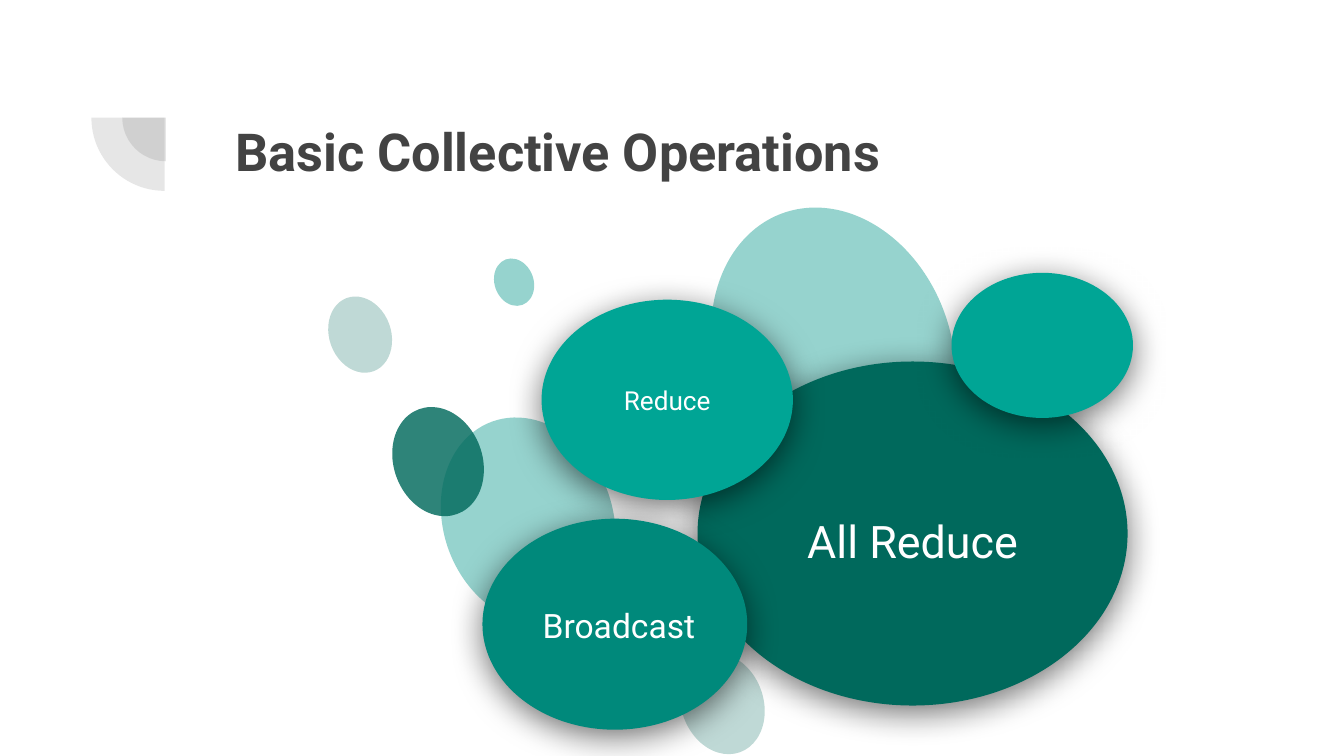
from dataclasses import dataclass

from lxml import etree
from pptx import Presentation
from pptx.dml.color import RGBColor
from pptx.enum.shapes import MSO_SHAPE
from pptx.enum.text import MSO_ANCHOR, MSO_AUTO_SIZE, PP_ALIGN
from pptx.oxml import parse_xml
from pptx.oxml.ns import nsdecls, qn
from pptx.util import Inches, Pt

OVAL, PIE = MSO_SHAPE.OVAL, MSO_SHAPE.PIE
TOP, MIDDLE = MSO_ANCHOR.TOP, MSO_ANCHOR.MIDDLE
LEFT, CENTER = PP_ALIGN.LEFT, PP_ALIGN.CENTER
NO_FIT = MSO_AUTO_SIZE.NONE

FONT = "Roboto"
WHITE = RGBColor(0xFF, 0xFF, 0xFF)
GRAY = RGBColor(0x42, 0x42, 0x42)
TITLE_GRAY = RGBColor(0x43, 0x43, 0x43)
DARK_TEAL = RGBColor(0x00, 0x69, 0x5C)
MID_TEAL = RGBColor(0x00, 0x89, 0x7B)
TEAL = RGBColor(0x00, 0x96, 0x88)
BRIGHT_TEAL = RGBColor(0x00, 0xA5, 0x95)

TILT = -20  # degrees, shared by all background bubbles


@dataclass
class Box:
    x: float
    y: float
    w: float
    h: float

    def lengths(self):
        return [Inches(v) for v in (self.x, self.y, self.w, self.h)]


@dataclass
class Bubble:
    box: Box
    color: RGBColor
    opacity: int


@dataclass
class Operation:
    box: Box
    color: RGBColor
    label: str = ""
    label_box: Box | None = None
    size: int = 18


def add_filled(s, preset, box: Box, color: RGBColor, opacity: int = 100):
    """Add a borderless shape with a solid, optionally transparent fill."""
    sp = s.shapes.add_shape(preset, *box.lengths())
    sp.shadow.inherit = False
    sp.line.fill.background()
    sp.fill.solid()
    sp.fill.fore_color.rgb = color
    if opacity < 100:
        clr = sp._element.spPr.find(qn("a:solidFill"))[0]
        etree.SubElement(clr, qn("a:alpha")).set("val", str(opacity * 1000))
    return sp


def add_shadow(sp) -> None:
    """Give a shape a soft shadow falling straight down."""
    effects = sp._element.spPr.find(qn("a:effectLst"))
    effects.append(parse_xml(
        f'<a:outerShdw {nsdecls("a")} blurRad="{Pt(18)}" dist="{Pt(4)}" '
        'dir="5400000" algn="bl" rotWithShape="0">'
        '<a:srgbClr val="000000"><a:alpha val="55000"/></a:srgbClr>'
        '</a:outerShdw>'))


def set_text(tf, text: str, *, size: int, color: RGBColor,
             bold: bool = False, align=CENTER, anchor=MIDDLE) -> None:
    tf.word_wrap = True
    tf.auto_size = NO_FIT
    tf.vertical_anchor = anchor
    tf.margin_left = tf.margin_right = Inches(0.1)
    tf.margin_top = tf.margin_bottom = Inches(0.1)
    p = tf.paragraphs[0]
    p.alignment = align
    r = p.add_run()
    r.text = text
    r.font.name = FONT
    r.font.size = Pt(size)
    r.font.bold = bold
    r.font.color.rgb = color


def add_operation(s, op: Operation) -> None:
    add_shadow(add_filled(s, OVAL, op.box, op.color))
    if op.label_box:
        tb = s.shapes.add_textbox(*op.label_box.lengths())
        set_text(tb.text_frame, op.label, size=op.size, color=WHITE)


BUBBLES = [
    Bubble(Box(5.07, 4.85, 0.61, 0.77), DARK_TEAL, 25),
    Bubble(Box(2.45, 2.20, 0.46, 0.58), DARK_TEAL, 25),
    Bubble(Box(3.30, 3.09, 1.26, 1.57), TEAL, 41),
    Bubble(Box(5.32, 1.52, 1.76, 2.21), TEAL, 41),
    Bubble(Box(2.93, 3.02, 0.66, 0.83), DARK_TEAL, 82),
    Bubble(Box(3.68, 1.92, 0.29, 0.36), TEAL, 41),
]

OPERATIONS = [
    Operation(Box(5.19, 2.69, 3.20, 2.56), DARK_TEAL,
              "All Reduce", Box(5.57, 3.41, 2.44, 1.22), 24),
    Operation(Box(4.03, 2.23, 1.87, 1.49), BRIGHT_TEAL,
              "Reduce", Box(4.33, 2.48, 1.27, 0.99), 14),
    Operation(Box(7.08, 2.03, 1.35, 1.08), BRIGHT_TEAL),
    Operation(Box(3.59, 3.86, 1.97, 1.57), MID_TEAL,
              "Broadcast", Box(3.86, 4.23, 1.49, 0.84), 18),
]


def main() -> None:
    prs = Presentation()
    prs.slide_width = Inches(10)
    prs.slide_height = Inches(10) * 9 // 16
    s = prs.slides.add_slide(prs.slide_layouts[5])
    s.background.fill.solid()
    s.background.fill.fore_color.rgb = WHITE

    # Title
    title = s.shapes.title
    title.left, title.top, title.width, title.height = Box(
        1.65, 0.79, 6.33, 0.55).lengths()
    set_text(title.text_frame, "Basic Collective Operations", size=28,
             color=TITLE_GRAY, bold=True, align=LEFT, anchor=TOP)

    # Corner ornament: two lower-left quarter circles
    for box in (Box(0.91, 0.55, 0.65, 0.65), Box(0.68, 0.33, 1.09, 1.09)):
        pie = add_filled(s, PIE, box, GRAY, 13)
        for i, degrees in enumerate((90, 180)):
            pie.adjustments[i] = degrees * 0.6

    # Background bubbles
    for b in BUBBLES:
        add_filled(s, OVAL, b.box, b.color, b.opacity).rotation = TILT

    # Labelled operations
    for op in OPERATIONS:
        add_operation(s, op)

    prs.save("out.pptx")


if __name__ == "__main__":
    main()
